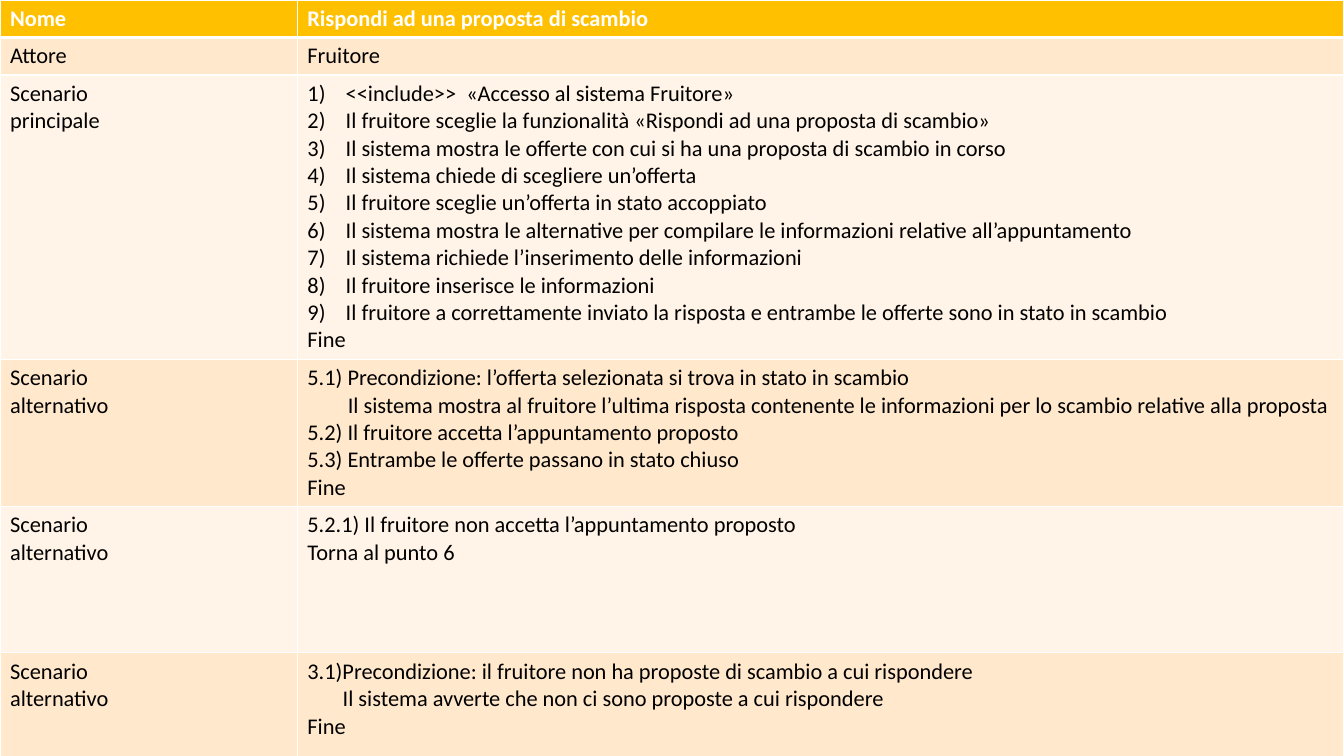
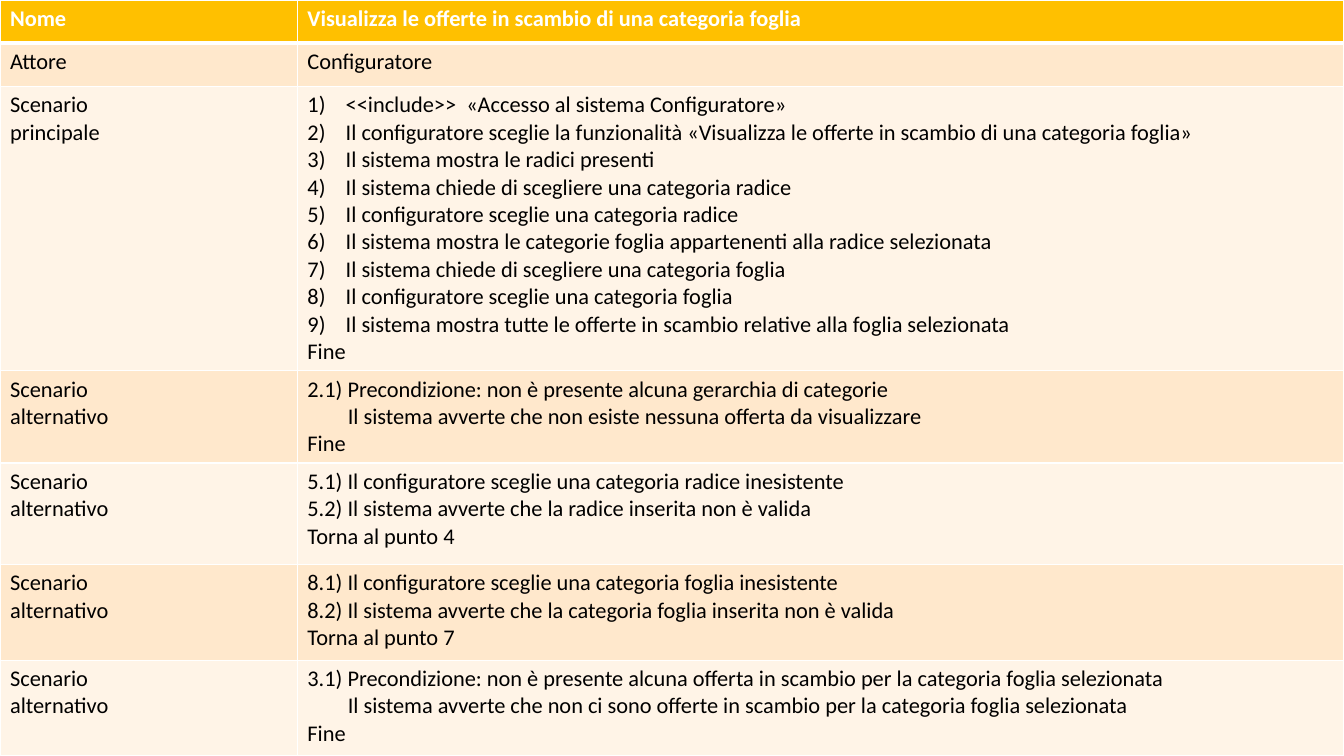
from dataclasses import dataclass

from lxml import etree
from pptx import Presentation
from pptx.dml.color import RGBColor
from pptx.oxml.ns import qn
from pptx.util import Inches, Pt


@dataclass(frozen=True)
class Theme:
    font: str = "Calibri"
    size: int = 16
    header: str = "FFC000"
    bands: tuple = ("FFE8CC", "FFF4E7")
    white: str = "FFFFFF"
    black: str = "000000"
    thin: int = 1
    thick: int = 3


THEME = Theme()
STEP_INDENT = Inches(0.38)
NOTE_INDENT = Inches(0.4)
SHORT_INDENT = Inches(0.35)
LABEL_SHARE = 0.22125  # label column, share of the slide's width

MAIN = "Scenario\nprincipale"
ALTERNATIVE = "Scenario\nalternativo"


def write(frame, text, *, color, bold=False, indent=0, numbered=False):
    """Add one paragraph, using the frame's empty first one if it is free."""
    para = frame.paragraphs[0] if not frame.text else frame.add_paragraph()
    props = para._p.get_or_add_pPr()
    if indent:
        props.set("marL", str(indent))
        props.set("indent", str(-indent if numbered else 0))
    if numbered:
        etree.SubElement(props, qn("a:buFont"), typeface="+mj-lt")
        etree.SubElement(props, qn("a:buAutoNum"), type="arabicParenR")
    span = para.add_run()
    span.text = text
    span.font.name = THEME.font
    span.font.size = Pt(THEME.size)
    span.font.bold = bold
    span.font.color.rgb = RGBColor.from_string(color)


def paint(cell, fill, *, top=THEME.thin, bottom=THEME.thin):
    """Give a cell white borders and a solid fill."""
    props = cell._tc.get_or_add_tcPr()
    widths = {"L": THEME.thin, "R": THEME.thin, "T": top, "B": bottom}
    for side, width in widths.items():
        line = etree.SubElement(props, qn(f"a:ln{side}"), w=str(Pt(width)))
        solid = etree.SubElement(line, qn("a:solidFill"))
        etree.SubElement(solid, qn("a:srgbClr"), val=THEME.white)
    cell.fill.solid()
    cell.fill.fore_color.rgb = RGBColor.from_string(fill)


# Use cases: row = (height in % of the slide, label, numbered steps, other lines)
# A line is text, or a pair (indent, text)
USE_CASES = [
    [
        (4.93, "Nome", [], ["Rispondi ad una proposta di scambio"]),
        (4.93, "Attore", [], ["Fruitore"]),
        (37.6, MAIN, [
            "<<include>>  «Accesso al sistema Fruitore»",
            "Il fruitore sceglie la funzionalità «Rispondi ad una proposta di scambio»",
            "Il sistema mostra le offerte con cui si ha una proposta di scambio in corso",
            "Il sistema chiede di scegliere un’offerta",
            "Il fruitore sceglie un’offerta in stato accoppiato",
            "Il sistema mostra le alternative per compilare le informazioni relative all’appuntamento",
            "Il sistema richiede l’inserimento delle informazioni",
            "Il fruitore inserisce le informazioni",
            "Il fruitore a correttamente inviato la risposta e entrambe le offerte sono in stato in scambio",
        ], ["Fine"]),
        (19.4, ALTERNATIVE, [], [
            "5.1) Precondizione: l’offerta selezionata si trova in stato in scambio",
            (NOTE_INDENT, "Il sistema mostra al fruitore l’ultima risposta contenente le informazioni per lo scambio relative alla proposta"),
            "5.2) Il fruitore accetta l’appuntamento proposto",
            "5.3) Entrambe le offerte passano in stato chiuso",
            "Fine",
        ]),
        (19.4, ALTERNATIVE, [], [
            "5.2.1) Il fruitore non accetta l’appuntamento proposto",
            "Torna al punto 6",
        ]),
        (18.1, ALTERNATIVE, [], [
            "3.1)Precondizione: il fruitore non ha proposte di scambio a cui rispondere",
            (SHORT_INDENT, "Il sistema avverte che non ci sono proposte a cui rispondere"),
            "Fine",
        ]),
    ],
    [
        (5.73, "Nome", [], ["Visualizza le offerte in scambio di una categoria foglia"]),
        (5.73, "Attore", [], ["Configuratore"]),
        (37.6, MAIN, [
            "<<include>>  «Accesso al sistema Configuratore»",
            "Il configuratore sceglie la funzionalità «Visualizza le offerte in scambio di una categoria foglia»",
            "Il sistema mostra le radici presenti",
            "Il sistema chiede di scegliere una categoria radice",
            "Il configuratore sceglie una categoria radice",
            "Il sistema mostra le categorie foglia appartenenti alla radice selezionata",
            "Il sistema chiede di scegliere una categoria foglia",
            "Il configuratore sceglie una categoria foglia",
            "Il sistema mostra tutte le offerte in scambio relative alla foglia selezionata",
        ], ["Fine"]),
        (12.2, ALTERNATIVE, [], [
            "2.1) Precondizione: non è presente alcuna gerarchia di categorie",
            (NOTE_INDENT, "Il sistema avverte che non esiste nessuna offerta da visualizzare"),
            "Fine",
        ]),
        (13.4, ALTERNATIVE, [], [
            "5.1) Il configuratore sceglie una categoria radice inesistente",
            "5.2) Il sistema avverte che la radice inserita non è valida",
            "Torna al punto 4",
        ]),
        (12.67, ALTERNATIVE, [], [
            "8.1) Il configuratore sceglie una categoria foglia inesistente",
            "8.2) Il sistema avverte che la categoria foglia inserita non è valida",
            "Torna al punto 7",
        ]),
        (12.67, ALTERNATIVE, [], [
            "3.1) Precondizione: non è presente alcuna offerta in scambio per la categoria foglia selezionata",
            (NOTE_INDENT, "Il sistema avverte che non ci sono offerte in scambio per la categoria foglia selezionata"),
            "Fine",
        ]),
    ],
]

# Deck
deck = Presentation()
deck.slide_width = Inches(13.33)
deck.slide_height = Inches(7.5)
blank = deck.slide_layouts[6]

for use_case in USE_CASES:
    # One full-width table on each page
    page = deck.slides.add_slide(blank)
    heights = [int(deck.slide_height * row[0] / 100) for row in use_case]
    table = page.shapes.add_table(
        len(use_case), 2, 0, 0, deck.slide_width, sum(heights)).table
    label_width = int(deck.slide_width * LABEL_SHARE)
    table.columns[0].width = label_width
    table.columns[1].width = deck.slide_width - label_width

    for index, (_, label, steps, lines) in enumerate(use_case):
        table.rows[index].height = heights[index]
        label_cell, text_cell = table.cell(index, 0), table.cell(index, 1)

        # Header and alternating bands, with a thick rule under the header
        is_header = index == 0
        fill = THEME.header if is_header else THEME.bands[(index - 1) % 2]
        for cell in (label_cell, text_cell):
            paint(cell, fill,
                  top=THEME.thick if index == 1 else THEME.thin,
                  bottom=THEME.thick if is_header else THEME.thin)

        # Text
        style = {"color": THEME.white if is_header else THEME.black, "bold": is_header}
        for word in label.split("\n"):
            write(label_cell.text_frame, word, **style)
        for step in steps:
            write(text_cell.text_frame, step, indent=STEP_INDENT, numbered=True, **style)
        for line in lines:
            indent, text = line if isinstance(line, tuple) else (0, line)
            write(text_cell.text_frame, text, indent=indent, **style)

deck.save("out.pptx")
